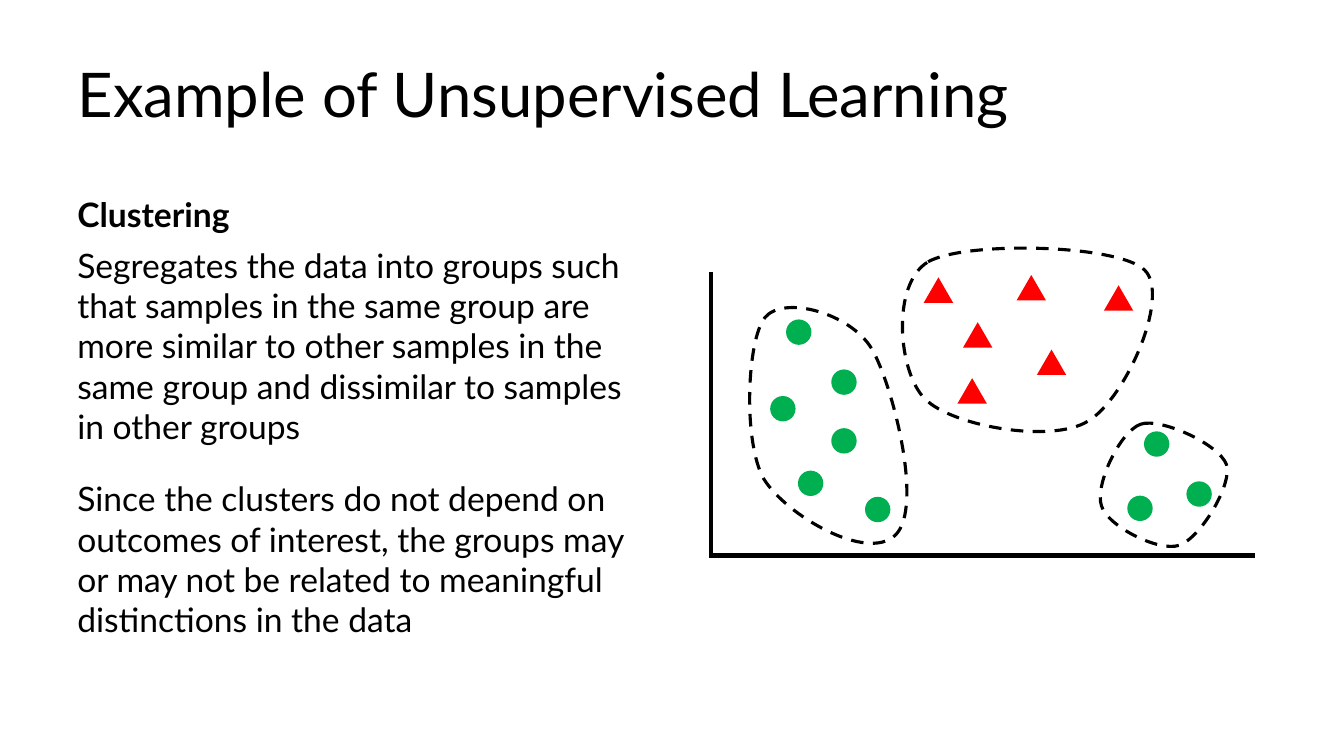
from lxml import etree
from pptx import Presentation
from pptx.dml.color import RGBColor
from pptx.enum.dml import MSO_LINE
from pptx.enum.shapes import MSO_CONNECTOR, MSO_SHAPE
from pptx.enum.text import MSO_ANCHOR, PP_ALIGN
from pptx.oxml.ns import qn
from pptx.util import Cm, Pt

FONT = "Lato"
BLACK = RGBColor(0x00, 0x00, 0x00)
GREEN = RGBColor(0x00, 0xB0, 0x50)
RED = RGBColor(0xFF, 0x00, 0x00)

TITLE = "Example of Unsupervised Learning"
HEADING = "Clustering"
BODY = [
    "Segregates the data into groups such that samples in the same group are "
    "more similar to other samples in the same group and dissimilar to samples "
    "in other groups",
    "Since the clusters do not depend on outcomes of interest, the groups may "
    "or may not be related to meaningful distinctions in the data",
]

LEFT_CIRCLES = [(20.95, 10.79), (19.41, 9.98), (19.81, 8.05),
                (20.11, 11.86), (20.95, 9.31), (21.8, 12.52)]
TRIANGLES = [(24.27, 8.12), (25.62, 6.93), (26.13, 8.81),
             (23.28, 6.99), (24.13, 9.53), (27.82, 7.19)]
RIGHT_CIRCLES = [(29.9, 12.13), (28.41, 12.49), (28.83, 10.87)]

TRIANGLE_BOX = (22.76, 6.25, 6.3, 4.62)
TRIANGLE_OUTLINE = [
    (23.39, 6.6), (24.31, 6.07), (28.19, 6.15),
    (28.85, 6.81), (29.51, 7.47), (28.35, 10.08),
    (27.41, 10.62), (26.49, 11.18), (24, 10.74),
    (23.32, 10.06), (22.63, 9.4), (22.45, 7.16),
]
LEFT_BOX = (18.9, 7.75, 3.96, 5.94)
LEFT_OUTLINE = [
    (19.28, 8), (19.74, 7.44), (21.41, 7.87),
    (21.97, 8.79), (22.5, 9.7), (23.29, 12.8),
    (22.56, 13.49), (21.84, 14.17), (19.81, 12.98),
    (19.25, 12.07), (18.72, 11.15), (18.82, 8.56),
]
RIGHT_BOX = (27.74, 10.67, 3.2, 3.1)
RIGHT_OUTLINE = [
    (28.75, 10.69), (29.26, 10.52), (30.73, 11.2),
    (30.91, 11.71), (31.06, 12.22), (30.25, 13.56),
    (29.72, 13.74), (29.21, 13.92), (27.91, 13.26),
    (27.76, 12.75), (27.58, 12.24), (28.22, 10.87),
]


def format_paragraph(p, size, bold=False):
    p.alignment = PP_ALIGN.LEFT
    for r in p.runs:
        r.font.name = FONT
        r.font.size = Pt(size)
        r.font.bold = bold
        r.font.color.rgb = BLACK


def add_title(s, text):
    sp = s.shapes.title
    sp.left, sp.top, sp.width, sp.height = Cm(1.7), Cm(0.76), Cm(30.48), Cm(3.18)
    tf = sp.text_frame
    tf.text = text
    tf.vertical_anchor = MSO_ANCHOR.MIDDLE
    format_paragraph(tf.paragraphs[0], 44)


def add_text(s, top, height, texts, anchor, bold=False):
    sp = s.shapes.add_textbox(Cm(1.7), Cm(top), Cm(14.96), Cm(height))
    tf = sp.text_frame
    tf.word_wrap = True
    tf.vertical_anchor = anchor
    for i, text in enumerate(texts):
        p = tf.add_paragraph() if i else tf.paragraphs[0]
        p.text = text
        if i:
            p.space_before = Pt(4.8)
        if i < len(texts) - 1:
            p.space_after = Pt(18)
        format_paragraph(p, 24, bold)


def add_axis(s, x1, y1, x2, y2):
    cx = s.shapes.add_connector(MSO_CONNECTOR.STRAIGHT, Cm(x1), Cm(y1), Cm(x2), Cm(y2))
    cx.line.color.rgb = BLACK
    cx.line.width = Pt(3)
    etree.SubElement(cx._element.spPr, qn("a:effectLst"))


def add_samples(s, kind, positions, width, color):
    group = s.shapes.add_group_shape()
    for x, y in positions:
        sp = group.shapes.add_shape(kind, Cm(x), Cm(y), Cm(width), Cm(0.64))
        sp.shadow.inherit = False
        sp.fill.solid()
        sp.fill.fore_color.rgb = color
        sp.line.fill.background()


def set_curves(sp, box, controls):
    left, top, width, height = box
    path = sp._element.spPr.find(".//" + qn("a:path"))
    path.set("w", str(Cm(width)))
    path.set("h", str(Cm(height)))
    for child in list(path):
        path.remove(child)

    def add_step(tag, points):
        step = etree.SubElement(path, qn(tag))
        for x, y in points:
            etree.SubElement(step, qn("a:pt"), x=str(Cm(x - left)), y=str(Cm(y - top)))

    closed = controls + controls[:1]
    add_step("a:moveTo", closed[:1])
    for i in range(1, len(closed), 3):
        add_step("a:cubicBezTo", closed[i:i + 3])
    add_step("a:close", [])


def add_outline(s, box, controls):
    anchors = [(Cm(x), Cm(y)) for x, y in controls[::3]]
    builder = s.shapes.build_freeform(*anchors[0], scale=1.0)
    builder.add_line_segments(anchors[1:], close=True)
    sp = builder.convert_to_shape()
    sp.left, sp.top, sp.width, sp.height = (Cm(v) for v in box)
    set_curves(sp, box, controls)
    sp.shadow.inherit = False
    sp.fill.background()
    sp.line.color.rgb = BLACK
    sp.line.width = Pt(2.25)
    sp.line.dash_style = MSO_LINE.DASH


def main():
    prs = Presentation()
    prs.slide_width, prs.slide_height = Cm(33.87), Cm(19.05)
    s = prs.slides.add_slide(prs.slide_layouts[5])
    add_title(s, TITLE)
    add_text(s, 4.26, 1.78, [HEADING], MSO_ANCHOR.BOTTOM, bold=True)
    add_text(s, 6.04, 10.97, BODY, MSO_ANCHOR.TOP)
    add_axis(s, 31.62, 14, 17.91, 14)
    add_axis(s, 17.91, 6.86, 17.91, 14.05)
    add_samples(s, MSO_SHAPE.OVAL, LEFT_CIRCLES, 0.64, GREEN)
    add_samples(s, MSO_SHAPE.ISOSCELES_TRIANGLE, TRIANGLES, 0.74, RED)
    add_samples(s, MSO_SHAPE.OVAL, RIGHT_CIRCLES, 0.64, GREEN)
    add_outline(s, TRIANGLE_BOX, TRIANGLE_OUTLINE)
    add_outline(s, LEFT_BOX, LEFT_OUTLINE)
    add_outline(s, RIGHT_BOX, RIGHT_OUTLINE)
    prs.save("out.pptx")


if __name__ == "__main__":
    main()
